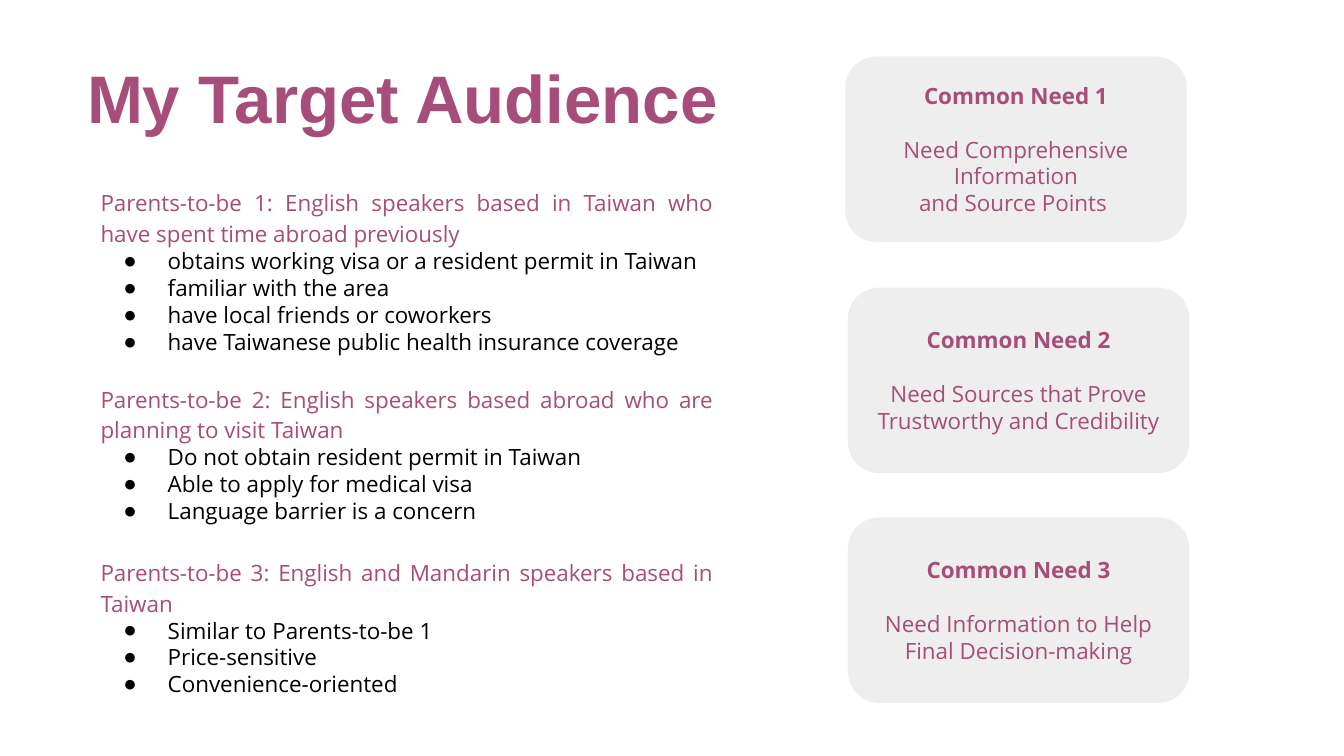
from dataclasses import dataclass

import pptx
import pptx.dml.color
import pptx.enum.shapes
import pptx.enum.text
import pptx.oxml.ns
import pptx.util
from lxml import etree
from pptx.util import Inches

COLORS = {"plum": "A64D79", "card": "EEEEEE", "text": "000000"}
ALIGN = pptx.enum.text.PP_ALIGN
BODY_FONT = "Open Sans"
TITLE_FONT = "Arial"


@dataclass
class Audience:
    heading: str
    traits: list[str]
    gap: float


@dataclass
class Need:
    title: str
    lines: list[str]
    left: float
    top: float


AUDIENCES = [
    Audience(
        "Parents-to-be 1: English speakers based in Taiwan who have spent time abroad previously ",
        [
            "obtains working visa or a resident permit in Taiwan",
            "familiar with the area",
            "have local friends or coworkers",
            "have Taiwanese public health insurance coverage",
        ],
        0,
    ),
    Audience(
        "Parents-to-be 2: English speakers based abroad who are planning to visit Taiwan",
        [
            "Do not obtain resident permit in Taiwan",
            "Able to apply for medical visa",
            "Language barrier is a concern",
        ],
        14.4,
    ),
    Audience(
        "Parents-to-be 3: English and Mandarin speakers based in Taiwan ",
        ["Similar to Parents-to-be 1", "Price-sensitive", "Convenience-oriented"],
        16.5,
    ),
]

NEEDS = [
    Need("Common Need 1", ["Need Comprehensive Information", "and Source Points "], 6.29, 0.42),
    Need("Common Need 2", ["Need Sources that Prove Trustworthy and Credibility"], 6.31, 2.14),
    Need("Common Need 3", ["Need Information to Help Final Decision-making"], 6.31, 3.85),
]


def rgb(name: str) -> pptx.dml.color.RGBColor:
    return pptx.dml.color.RGBColor.from_string(COLORS[name])


def prepare_frame(frame, anchor) -> None:
    frame.word_wrap = True
    frame.vertical_anchor = anchor
    frame.margin_left = frame.margin_right = Inches(0.1)
    frame.margin_top = frame.margin_bottom = Inches(0.1)


def add_bullet(paragraph) -> None:
    qn = pptx.oxml.ns.qn
    properties = paragraph._p.get_or_add_pPr()
    properties.set("marL", str(Inches(0.5)))
    properties.set("indent", str(Inches(-0.33)))
    color = etree.SubElement(properties, qn("a:buClr"))
    etree.SubElement(color, qn("a:srgbClr"), val=COLORS["text"])
    etree.SubElement(properties, qn("a:buFont"), typeface=TITLE_FONT)
    etree.SubElement(properties, qn("a:buChar"), char="●")


def write(frame, text: str, *, size: float = 12, font: str = BODY_FONT, color: str = "plum",
          bold: bool = False, align=ALIGN.LEFT, line_spacing: float = 1.0,
          space_before: float = 0, bullet: bool = False) -> None:
    paragraph = frame.paragraphs[0] if not frame.text else frame.add_paragraph()
    if bullet:
        add_bullet(paragraph)
    paragraph.alignment = align
    paragraph.line_spacing = line_spacing
    paragraph.space_before = pptx.util.Pt(space_before)
    run = paragraph.add_run()
    run.text = text
    run.font.size = pptx.util.Pt(size)
    run.font.name = font
    run.font.bold = bold
    run.font.color.rgb = rgb(color)


def add_text_box(slide, left: float, top: float, width: float, height: float):
    box = slide.shapes.add_textbox(Inches(left), Inches(top), Inches(width), Inches(height))
    prepare_frame(box.text_frame, pptx.enum.text.MSO_ANCHOR.TOP)
    return box.text_frame


def draw_audience(frame, audience: Audience) -> None:
    write(frame, audience.heading, align=ALIGN.JUSTIFY, line_spacing=1.15,
          space_before=audience.gap)
    for trait in audience.traits:
        write(frame, trait, color="text", bullet=True)


def draw_need(slide, need: Need) -> None:
    shape = slide.shapes.add_shape(
        pptx.enum.shapes.MSO_SHAPE.ROUNDED_RECTANGLE,
        Inches(need.left), Inches(need.top), Inches(2.54), Inches(1.38),
    )
    shape.shadow.inherit = False
    shape.fill.solid()
    shape.fill.fore_color.rgb = rgb("card")
    shape.line.fill.background()
    frame = shape.text_frame
    prepare_frame(frame, pptx.enum.text.MSO_ANCHOR.MIDDLE)
    write(frame, need.title, bold=True, align=ALIGN.CENTER)
    for index, line in enumerate(need.lines):
        write(frame, line, align=ALIGN.CENTER, space_before=0 if index else 14.4)


def main() -> None:
    presentation = pptx.Presentation()
    presentation.slide_width = Inches(10)
    presentation.slide_height = Inches(10 * 9 / 16)
    slide = presentation.slides.add_slide(presentation.slide_layouts[6])

    title = add_text_box(slide, 0.47, 0.26, 5.05, 0.84)
    write(title, "My Target Audience", size=36, font=TITLE_FONT, bold=True,
          align=ALIGN.CENTER, line_spacing=1.1)

    body = add_text_box(slide, 0.65, 1.28, 4.76, 3.48)
    for audience in AUDIENCES:
        draw_audience(body, audience)
    for need in NEEDS:
        draw_need(slide, need)

    presentation.save("out.pptx")


if __name__ == "__main__":
    main()
